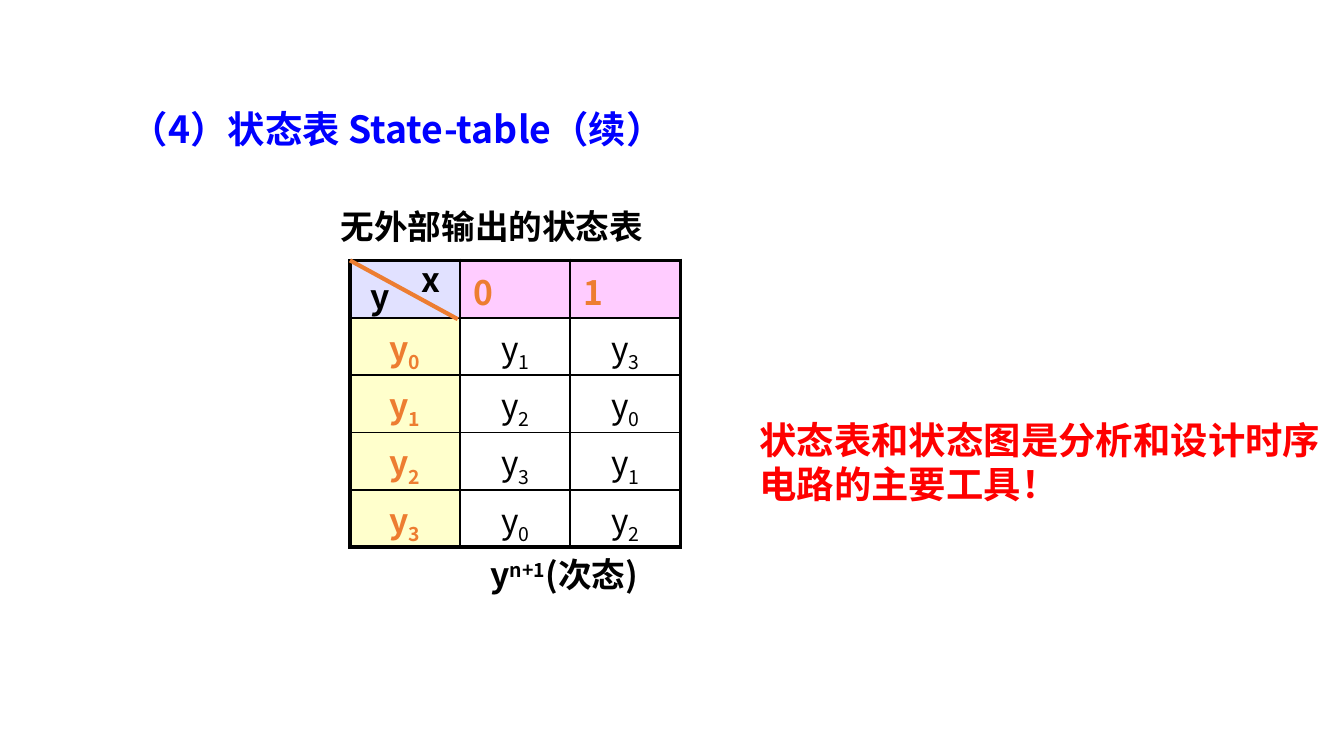
"""Build a slide with a state table that has no external output."""
from lxml import etree
from pptx import Presentation
from pptx.dml.color import RGBColor
from pptx.enum.shapes import MSO_CONNECTOR
from pptx.enum.text import MSO_ANCHOR, PP_ALIGN
from pptx.oxml.ns import qn
from pptx.util import Pt

PX = 9525
LINE = MSO_CONNECTOR.STRAIGHT
MIDDLE, CENTER, LEFT = MSO_ANCHOR.MIDDLE, PP_ALIGN.CENTER, PP_ALIGN.LEFT
JP, SC = "Noto Sans CJK JP", "Noto Sans CJK SC"
BLACK, ORANGE = "000000", "ED7D31"


def color(code):
    """Turn a hex string into a colour."""
    return RGBColor.from_string(code)


def write(para, parts, size, face, code, bold=True):
    """Fill a paragraph with (text, baseline) parts in one font."""
    for text, base in parts:
        run = para.add_run()
        run.text = text
        if base:
            run._r.get_or_add_rPr().set("baseline", str(base * 1000))
    font = para.font
    font.size, font.bold, font.name = Pt(size), bold, face
    font.color.rgb = color(code)
    props = para._p.get_or_add_pPr().get_or_add_defRPr()
    etree.SubElement(props, qn("a:ea")).set("typeface", face)


prs = Presentation()
prs.slide_width, prs.slide_height = 960 * PX, 540 * PX
slide = prs.slides.add_slide(prs.slide_layouts[6])
shapes = slide.shapes

left, top, wide, high = 250, 186, 236, 41
rows = [("", "0", "1"), ("0", "1", "3"), ("1", "2", "0"), ("2", "3", "1"), ("3", "0", "2")]
last = len(rows) - 1
table = shapes.add_table(5, 3, left * PX, top * PX, wide * PX, 5 * high * PX).table
for col in table.columns:
    col.width = wide * PX // 3
for i, row in enumerate(rows):
    table.rows[i].height = high * PX
    for j, mark in enumerate(row):
        cell = table.cell(i, j)
        cell.margin_top, cell.margin_bottom = 3 * PX, 0
        cell.vertical_anchor = MIDDLE
        props = cell._tc.get_or_add_tcPr()
        edges = {"L": j == 0, "R": j == 2, "T": i == 0, "B": i == last}
        for side, outer in edges.items():
            edge = etree.SubElement(props, qn("a:ln" + side))
            edge.set("w", str(Pt(2.25 if outer else 1)))
            fill = etree.SubElement(edge, qn("a:solidFill"))
            etree.SubElement(fill, qn("a:srgbClr")).set("val", BLACK)
        if i == 0:
            back = "FFCCFF" if j else "E1E1FF"
        else:
            back = "FFFFFF" if j else "FFFFCC"
        cell.fill.solid()
        cell.fill.fore_color.rgb = color(back)
        if mark:
            head = i == 0 or j == 0
            para = cell.text_frame.paragraphs[0]
            para.alignment = CENTER if i else LEFT
            parts = [("y", 0), (mark, -25)] if i else [(mark, 0)]
            write(para, parts, 18, SC, ORANGE if head else BLACK, head)

slash = shapes.add_connector(LINE, left * PX, top * PX, 327 * PX, 228 * PX)
slash.line.color.rgb = color(ORANGE)
slash.line.width = Pt(2.25)
etree.SubElement(slash._element.spPr, qn("a:effectLst"))

texts = [
    (84, 75, 783, 54, [("（4）状态表 State-table（续）", 0)], 20, JP, "0000FF", 0.9),
    (234, 142, 254, 38, [("无外部输出的状态表", 0)], 18, JP, BLACK, None),
    (341, 391, 149, 38, [("y", 0), ("n+1", 30), ("(次态)", 0)], 18, JP, BLACK, None),
    (292, 180, 57, 38, [("x", 0)], 18, SC, BLACK, None),
    (255, 192, 57, 38, [("y", 0)], 18, SC, BLACK, None),
    (533, 293, 423, 74, [("状态表和状态图是分析和设计时序电路的主要工具！", 0)], 20, JP, "FF0000", None),
]
for x, y, w, h, parts, size, face, code, gap in texts:
    frame = shapes.add_textbox(x * PX, y * PX, w * PX, h * PX).text_frame
    frame.word_wrap = True
    para = frame.paragraphs[0]
    para.line_spacing = gap
    write(para, parts, size, face, code)

prs.save("out.pptx")
